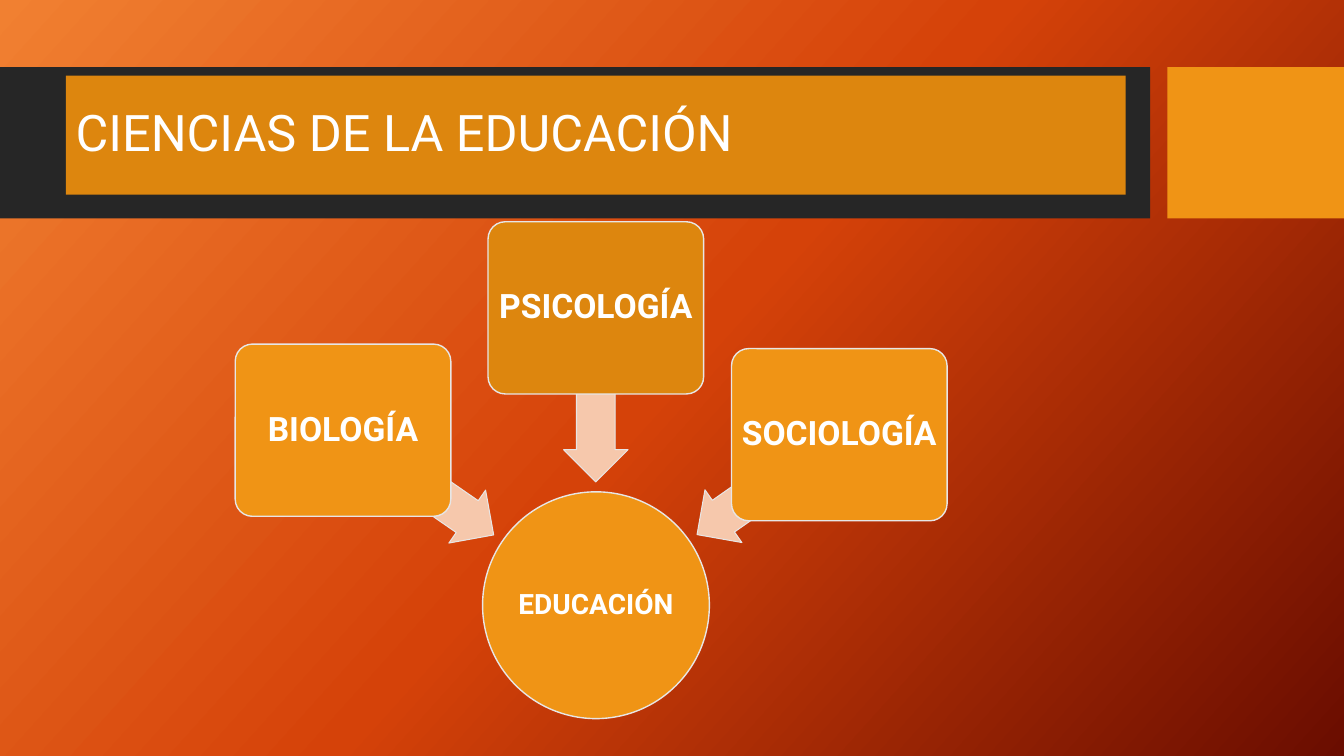
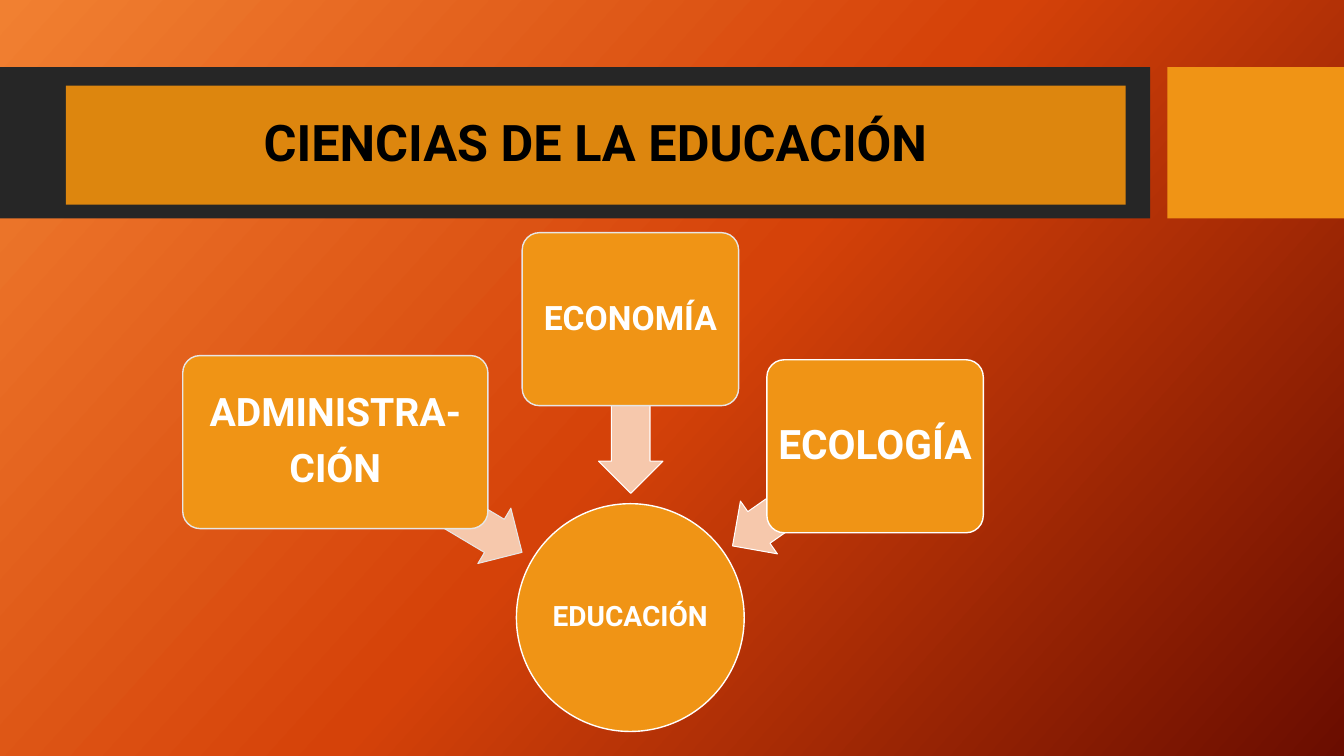
"""Build two slides on the sciences that feed into education."""
import copy
import dataclasses
import typing

import pptx
import pptx.dml.color
import pptx.enum.shapes
import pptx.enum.text
import pptx.oxml.ns
import pptx.shapes.autoshape
import pptx.slide
import pptx.util

Pt = pptx.util.Pt
SHAPE = pptx.enum.shapes.MSO_SHAPE
ALIGN = pptx.enum.text.PP_ALIGN
FONT = "Roboto"
COLOURS = {
    "glow": "F18031", "ember": "D54209", "wine": "6A0D00",
    "band": "262626", "amber": "F09415", "ochre": "DD860E",
    "peach": "F6C8AC", "pale": "E7E6E6", "white": "FFFFFF", "black": "000000",
}
GRADIENT = (("glow", 0), ("ember", 0.5), ("wine", 1))


class Frame(typing.NamedTuple):
    """Position and size in points."""

    left: float
    top: float
    width: float
    height: float


@dataclasses.dataclass(frozen=True)
class TextStyle:
    """Look of the text in a shape."""

    size: float
    colour: str = "white"
    bold: bool = True
    align: ALIGN = ALIGN.CENTER
    inset: float = 2


@dataclasses.dataclass(frozen=True)
class Science:
    """A science box and the arrow that leads from it to the hub."""

    lines: tuple[str, ...]
    box: Frame
    arrow: Frame
    turn: float
    size: float = 24
    fill: str = "amber"
    box_line: str = "pale"
    arrow_line: str = "pale"


@dataclasses.dataclass(frozen=True)
class Topic:
    """Everything that differs from slide to slide."""

    title_top: float
    title_style: TextStyle
    hub: Frame
    hub_line: str
    sciences: tuple[Science, ...]


BANDS = (
    (Frame(0, 48, 821.5, 108), "band"),
    (Frame(833.8, 48, 126.2, 108), "amber"),
)
TOPICS = (
    Topic(54, TextStyle(36, bold=False, align=ALIGN.LEFT, inset=7.2),
          Frame(344.7, 351.3, 162, 162), "pale", (
        Science(("BIOLOGÍA",), Frame(168, 245.8, 154, 123),
                Frame(233.3, 321.8, 131, 46), 214.7),
        Science(("PSICOLOGÍA",), Frame(348.6, 158.4, 154, 123),
                Frame(363.6, 259.2, 124, 46), 270, fill="ochre"),
        Science(("SOCIOLOGÍA",), Frame(522.5, 249, 154, 123),
                Frame(486.7, 323.3, 124, 46), 325))),
    Topic(61.2, TextStyle(36, "black", inset=7.2),
          Frame(368.9, 359.8, 162.7, 162.7), "white", (
        Science(("ADMINISTRA-", "CIÓN"), Frame(130.5, 254, 218, 123.6),
                Frame(229, 331.9, 154.8, 46), 210.8, size=28),
        Science(("ECONOMÍA",), Frame(373, 166.2, 154.6, 123.6),
                Frame(388.2, 267.1, 124.6, 46), 270, arrow_line="white"),
        Science(("ECOLOGÍA",), Frame(547.8, 257, 154.6, 123.6),
                Frame(512, 331.2, 124.6, 46), 325, size=29,
                box_line="white", arrow_line="white"))),
)


def rgb(name: str) -> pptx.dml.color.RGBColor:
    """Return a named colour."""
    return pptx.dml.color.RGBColor.from_string(COLOURS[name])


def draw(slide: pptx.slide.Slide, kind: SHAPE, frame: Frame, fill: str,
         line: str | None = None,
         weight: float = 1) -> pptx.shapes.autoshape.Shape:
    """Add a filled shape, outlined when a line colour is given."""
    shape = slide.shapes.add_shape(kind, *(Pt(length) for length in frame))
    shape.shadow.inherit = False
    shape.fill.solid()
    shape.fill.fore_color.rgb = rgb(fill)
    if line is None:
        shape.line.fill.background()
    else:
        shape.line.color.rgb = rgb(line)
        shape.line.width = Pt(weight)
    return shape


def write(shape: pptx.shapes.autoshape.Shape, lines: tuple[str, ...],
          style: TextStyle) -> None:
    """Set the lines of text inside a shape, one paragraph each."""
    frame = shape.text_frame
    frame.word_wrap = True
    frame.vertical_anchor = pptx.enum.text.MSO_ANCHOR.MIDDLE
    frame.margin_left = frame.margin_right = Pt(style.inset)
    frame.margin_top = frame.margin_bottom = Pt(style.inset)
    frame.text = "\n".join(lines)
    for paragraph in frame.paragraphs:
        paragraph.alignment = style.align
        paragraph.line_spacing = 0.9
        paragraph.font.name = FONT
        paragraph.font.size = Pt(style.size)
        paragraph.font.bold = style.bold
        paragraph.font.color.rgb = rgb(style.colour)
    for paragraph in frame.paragraphs[:-1]:
        paragraph.space_after = Pt(0.35 * style.size)


def paint_background(slide: pptx.slide.Slide) -> None:
    """Fill the slide with the three-colour diagonal gradient."""
    fill = slide.background.fill
    fill.gradient()
    fill.gradient_angle = 318
    stops = slide.element.find(".//" + pptx.oxml.ns.qn("a:gsLst"))
    stops.append(copy.deepcopy(stops[-1]))
    for stop, (colour, position) in zip(fill.gradient_stops, GRADIENT):
        stop.color.rgb = rgb(colour)
        stop.position = position


def draw_science(slide: pptx.slide.Slide, science: Science) -> None:
    """Add the arrow to the hub and the science box over its tail."""
    arrow = draw(slide, SHAPE.LEFT_ARROW, science.arrow, "peach",
                 science.arrow_line, 0.75)
    arrow.adjustments[0] = 0.6
    arrow.rotation = science.turn
    box = draw(slide, SHAPE.ROUNDED_RECTANGLE, science.box, science.fill,
               science.box_line)
    box.adjustments[0] = 0.1
    write(box, science.lines, TextStyle(science.size))


def build_slide(deck: pptx.presentation.Presentation, topic: Topic) -> None:
    """Add one slide with its bands, title and diagram."""
    slide = deck.slides.add_slide(deck.slide_layouts[6])
    paint_background(slide)
    for frame, colour in BANDS:
        draw(slide, SHAPE.RECTANGLE, frame, colour)
    title = draw(slide, SHAPE.RECTANGLE,
                 Frame(47, topic.title_top, 757, 85), "ochre")
    write(title, ("CIENCIAS DE LA EDUCACIÓN",), topic.title_style)
    hub = draw(slide, SHAPE.OVAL, topic.hub, "amber", topic.hub_line)
    write(hub, ("EDUCACIÓN",), TextStyle(20, inset=0.7))
    for science in topic.sciences:
        draw_science(slide, science)


def main() -> None:
    """Build and save the presentation."""
    deck = pptx.Presentation()
    deck.slide_width, deck.slide_height = Pt(960), Pt(540)
    for topic in TOPICS:
        build_slide(deck, topic)
    deck.save("out.pptx")


main()
